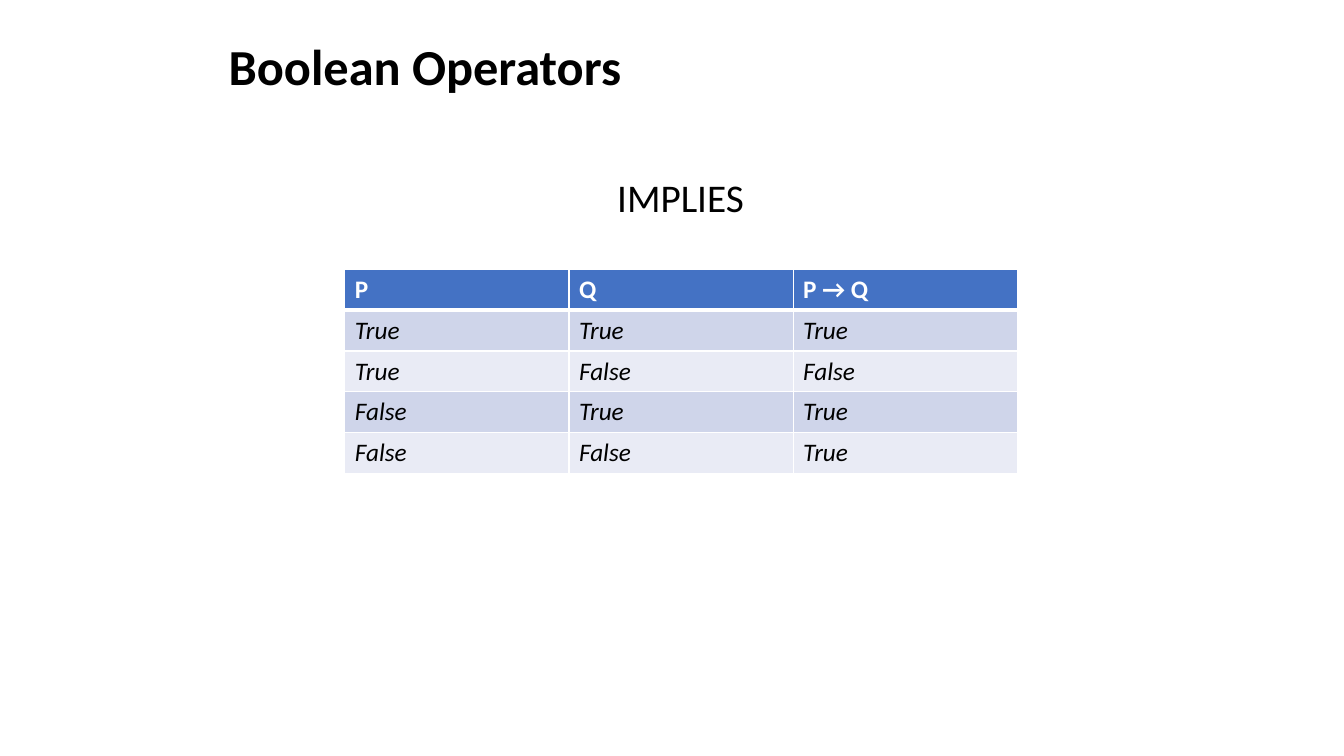
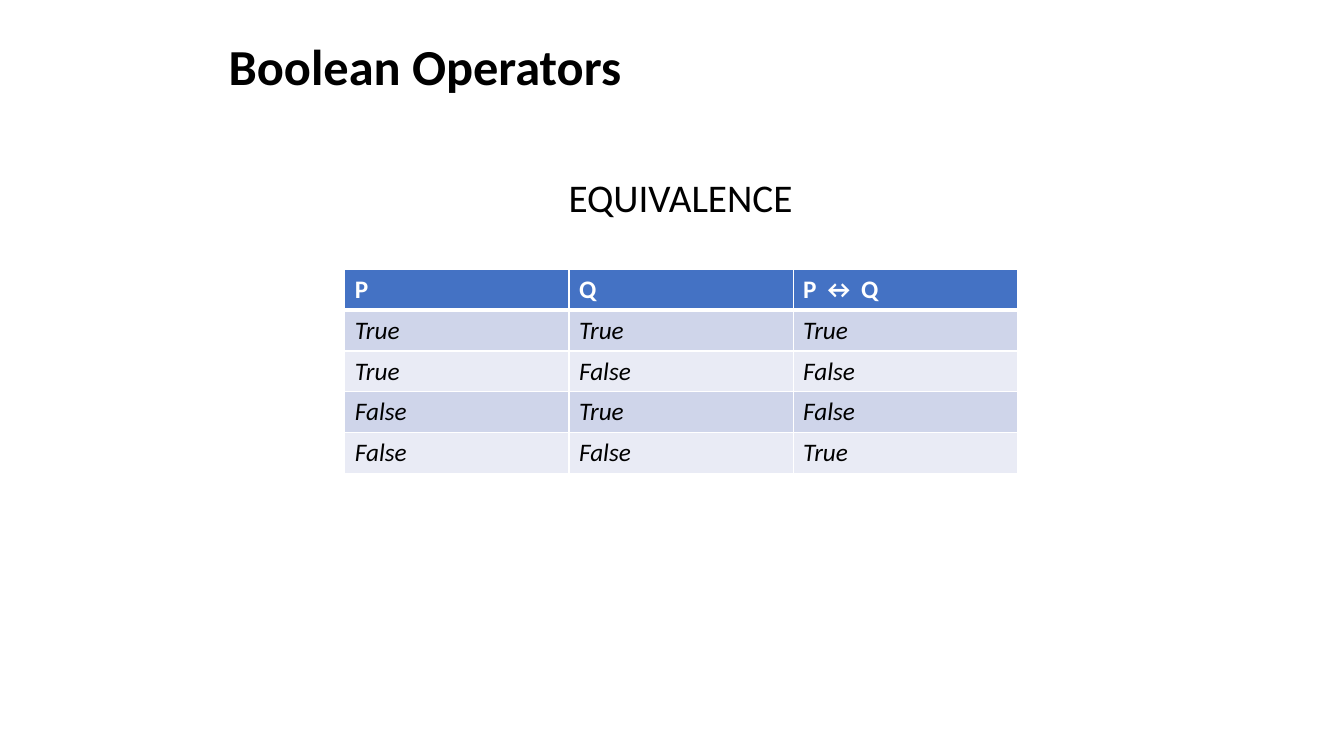
"""Build two truth-table slides about Boolean operators."""
from dataclasses import dataclass
from itertools import product
from typing import Callable

from lxml import etree
from pptx import Presentation
from pptx import util as u
from pptx.dml.color import RGBColor
from pptx.enum import text
from pptx.oxml import ns


@dataclass(frozen=True)
class Theme:
    font: str = "Calibri"
    ink: str = "000000"
    white: str = "FFFFFF"
    header: str = "4472C4"
    bands: tuple[str, str] = ("CFD5EA", "E9EBF5")
    title_size: int = 36
    label_size: int = 28
    cell_size: int = 18
    rule: int = 1
    header_rule: int = 3


@dataclass(frozen=True)
class Operator:
    name: str
    symbol: str
    rule: Callable[[bool, bool], bool]


THEME = Theme()
OPERATORS = (
    Operator("IMPLIES", "→", lambda a, b: not a or b),
    Operator("EQUIVALENCE", "↔", lambda a, b: a == b),
)


def style_text(tf, size: int, color: str, bold: bool = False, italic: bool = False) -> None:
    for p in tf.paragraphs:
        for r in p.runs:
            r.font.name = THEME.font
            r.font.size = u.Pt(size)
            r.font.bold = bold
            r.font.italic = italic
            r.font.color.rgb = RGBColor.from_string(color)


def add_text(s, words: str, box: tuple[float, ...], size: int, bold: bool = False):
    tf = s.shapes.add_textbox(*map(u.Inches, box)).text_frame
    tf.word_wrap = True
    tf.text = words
    style_text(tf, size, THEME.ink, bold)
    return tf


def add_title(s) -> None:
    tf = add_text(s, "Boolean Operators", (2.17, 0.3, 9, 0.78), THEME.title_size, True)
    tf.vertical_anchor = text.MSO_ANCHOR.MIDDLE
    tf.paragraphs[0].line_spacing = 0.9


def add_label(s, name: str) -> None:
    tf = add_text(s, name, (4.25, 1.67, 5, 0.57), THEME.label_size)
    tf.auto_size = text.MSO_AUTO_SIZE.SHAPE_TO_FIT_TEXT
    tf.paragraphs[0].alignment = text.PP_ALIGN.CENTER


def set_borders(cell, top: int, bottom: int) -> None:
    tc_pr = cell._tc.get_or_add_tcPr()
    widths = {"lnL": THEME.rule, "lnR": THEME.rule, "lnT": top, "lnB": bottom}
    for side, width in widths.items():
        ln = etree.SubElement(tc_pr, ns.qn(f"a:{side}"), w=str(u.Pt(width)))
        fill = etree.SubElement(ln, ns.qn("a:solidFill"))
        etree.SubElement(fill, ns.qn("a:srgbClr"), val=THEME.white)


def add_truth_table(s, op: Operator) -> None:
    rows = [("P", "Q", f"P {op.symbol} Q")]
    rows += [(str(a), str(b), str(op.rule(a, b))) for a, b in product((True, False), repeat=2)]
    box = map(u.Inches, (3.42, 2.67, 6.67, 2.03))
    table = s.shapes.add_table(len(rows), len(rows[0]), *box).table
    for i, row in enumerate(rows):
        head = i == 0
        top = THEME.header_rule if i == 1 else THEME.rule
        bottom = THEME.header_rule if head else THEME.rule
        fill = THEME.header if head else THEME.bands[(i - 1) % 2]
        ink = THEME.white if head else THEME.ink
        for j, words in enumerate(row):
            cell = table.cell(i, j)
            set_borders(cell, top, bottom)
            cell.fill.solid()
            cell.fill.fore_color.rgb = RGBColor.from_string(fill)
            cell.text_frame.text = words
            style_text(cell.text_frame, THEME.cell_size, ink, bold=head, italic=not head)


def main() -> None:
    prs = Presentation()
    prs.slide_width, prs.slide_height = u.Inches(13.33), u.Inches(7.5)
    for op in OPERATORS:
        s = prs.slides.add_slide(prs.slide_layouts[6])
        add_title(s)
        add_label(s, op.name)
        add_truth_table(s, op)
    prs.save("out.pptx")


if __name__ == "__main__":
    main()
